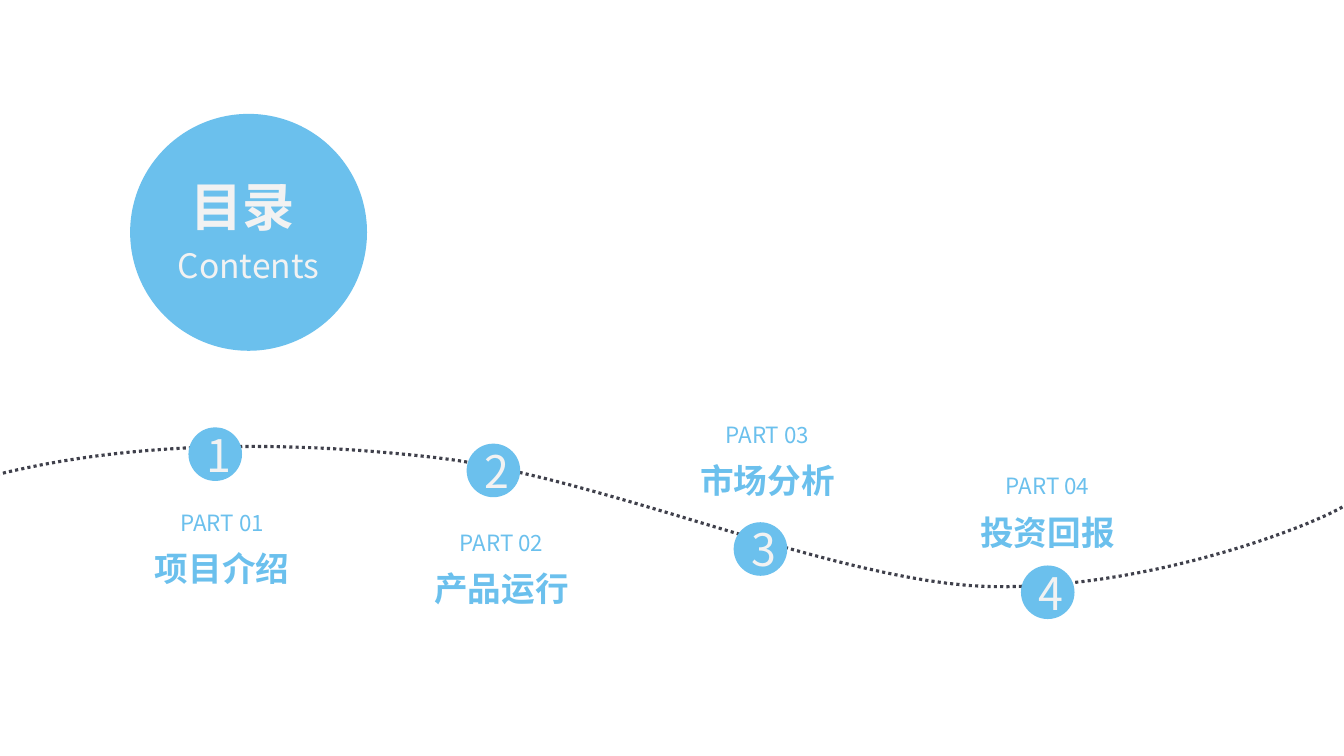
"""Build the contents slide: a title disc and four numbered stops on a dotted curve."""
from lxml.etree import SubElement
from pptx import Presentation
from pptx.dml.color import RGBColor
from pptx.enum.dml import MSO_LINE
from pptx.enum.shapes import MSO_SHAPE as SHAPE
from pptx.enum.text import MSO_ANCHOR as ANCHOR, PP_ALIGN as ALIGN
from pptx.oxml.ns import qn
from pptx.util import Cm, Pt

TITLE, SUBTITLE = "目录 ", "Contents"
STOPS = [
    ("项目介绍", (4.75, 10.77), (3.63, 12.5)),
    ("产品运行", (11.76, 11.18), (10.67, 13)),
    ("市场分析", (18.49, 13.16), (17.37, 10.29)),
    ("投资回报", (25.73, 14.25), (24.43, 11.58)),
]
CURVE = [
    (-0.08, 11.96), (3.07, 11.18), (6.81, 11.05), (10.97, 11.53),
    (15.11, 11.99), (21.03, 14.66), (24.89, 14.78),
    (28.78, 14.88), (32.97, 13.31), (33.91, 12.73),
]
STEPS = 24
STOP_SIZE = 1.35
LABEL_SIZE = (3.94, 2.16)

FONT = "Noto Sans CJK SC"
BLUE = RGBColor(0x6B, 0xC0, 0xED)
PALE = RGBColor(0xF2, 0xF2, 0xF2)
DARK = RGBColor(0x3F, 0x40, 0x4B)


def write(tf, lines, color, spacing, **frame):
    for name, value in frame.items():
        setattr(tf, name, value)
    for i, (text, size, bold) in enumerate(lines):
        p = tf.paragraphs[0] if i == 0 else tf.add_paragraph()
        p.alignment, p.line_spacing = ALIGN.CENTER, spacing
        r = p.add_run()
        r.text = text
        for name, value in {"size": Pt(size), "bold": bold, "name": FONT}.items():
            setattr(r.font, name, value)
        r.font.color.rgb = color
        SubElement(r.font._element, qn("a:ea"), typeface=FONT)


def add_disc(slide, x, y, size):
    s = slide.shapes.add_shape(SHAPE.OVAL, Cm(x), Cm(y), Cm(size), Cm(size))
    s.shadow.inherit = False
    s.fill.solid()
    s.fill.fore_color.rgb = BLUE
    s.line.fill.background()
    return s


def add_text(slide, x, y, w, h, lines, color, spacing, wrap):
    box = slide.shapes.add_textbox(Cm(x), Cm(y), Cm(w), Cm(h))
    write(box.text_frame, lines, color, spacing, word_wrap=wrap)


def bezier(a, b, c, d, t):
    u = 1 - t
    return tuple(
        Cm(u**3 * m + 3 * u * u * t * n + 3 * u * t * t * o + t**3 * q)
        for m, n, o, q in zip(a, b, c, d)
    )


def add_curve(slide):
    points = [
        bezier(*CURVE[i:i + 4], k / STEPS)
        for i in range(0, len(CURVE) - 1, 3)
        for k in range(1, STEPS + 1)
    ]
    x, y = CURVE[0]
    builder = slide.shapes.build_freeform(Cm(x), Cm(y))
    builder.add_line_segments(points, close=False)
    s = builder.convert_to_shape()
    s.shadow.inherit = False
    s.fill.background()
    s.line.color.rgb = DARK
    s.line.width = Pt(2.25)
    s.line.dash_style = MSO_LINE.ROUND_DOT


def main():
    prs = Presentation()
    prs.slide_width, prs.slide_height = Cm(33.87), Cm(19.05)
    slide = prs.slides.add_slide(prs.slide_layouts[6])

    add_disc(slide, 3.28, 2.87, 5.97)
    title = [(TITLE, 37.3, True), (SUBTITLE, 24, False)]
    add_text(slide, 2.31, 3.94, 7.9, 3.4, title, PALE, 1.2, True)
    add_curve(slide)
    for number, (name, disc, label) in enumerate(STOPS, 1):
        s = add_disc(slide, *disc, STOP_SIZE)
        write(s.text_frame, [(str(number), 32, False)], PALE, None,
              vertical_anchor=ANCHOR.MIDDLE)
        lines = [(f"PART {number:02}", 16, False), (name, 24, True)]
        add_text(slide, *label, *LABEL_SIZE, lines, BLUE, 1.3, False)
    prs.save("out.pptx")


if __name__ == "__main__":
    main()
